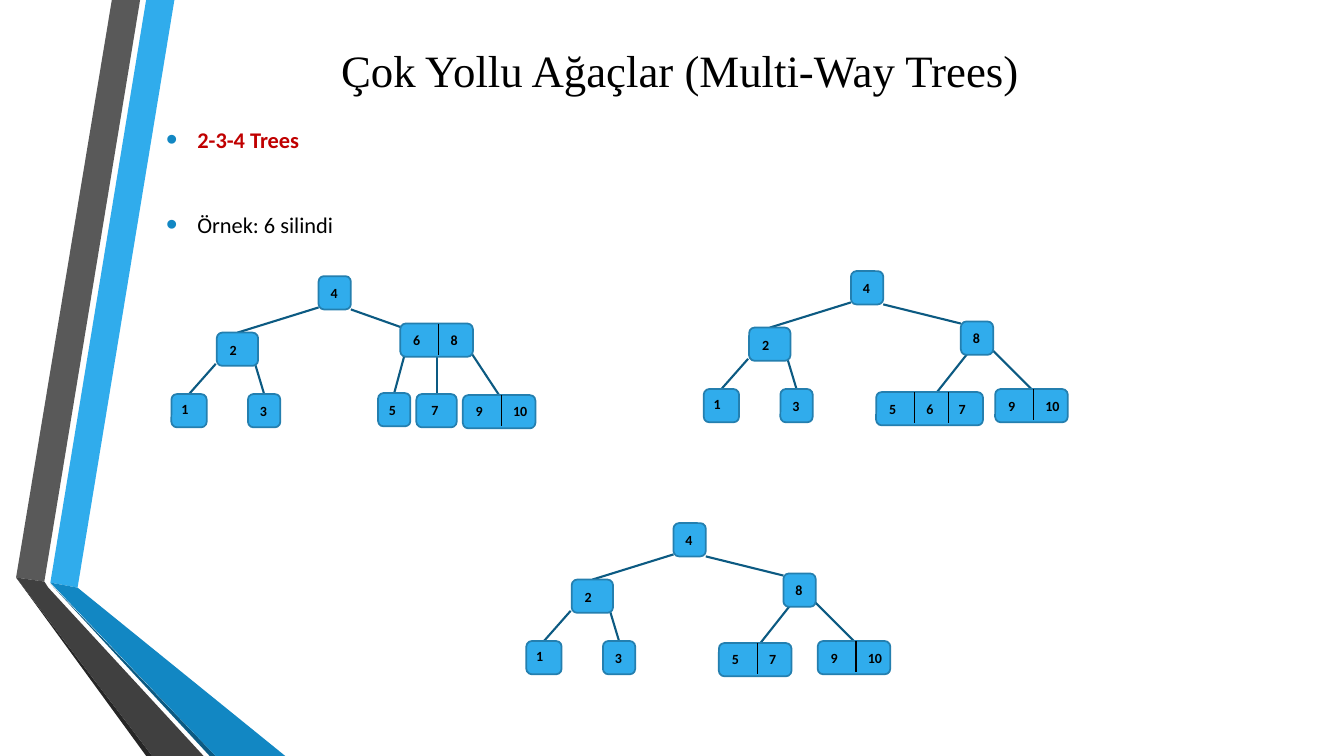
from dataclasses import dataclass
from lxml.etree import SubElement as Sub
from pptx import Presentation
from pptx.dml.color import RGBColor as Rgb
from pptx.enum.shapes import MSO_CONNECTOR as Link, MSO_SHAPE as Shape
from pptx.enum.text import MSO_ANCHOR as Anchor, MSO_AUTO_SIZE as Fit, PP_ALIGN as Align
from pptx.oxml.ns import qn
from pptx.util import Inches, Pt

UNIT = Inches(0.01)
COLS, ROWS = 1333, 750


@dataclass(frozen=True)
class Theme:
    sky: str = "30ACEC"
    blue: str = "1287C3"
    navy: str = "0C5A82"
    rim: str = "247FAF"
    gray: str = "595959"
    dark: str = "404040"
    coal: str = "262626"
    red: str = "C00000"
    ink: str = "000000"
    serif: str = "Times New Roman"
    sans: str = "Calibri"
    head: int = 32
    body: int = 16
    key: int = 10


@dataclass(frozen=True)
class Node:
    keys: str
    x: int
    y: int
    wide: int
    root: str = ""
    start: tuple = ()
    end: tuple = ()
    dx: int = 2
    dy: int = 3


LOOK = Theme()
TALL = 33
TEXTS = (0, 37, 69)
BARS = (38, 72)

LEFT = [
    Node("4", 146, 0, 32),
    Node("2", 45, 56, 41, "4", (146, 31), dx=3, dy=4),
    Node("1", 0, 117, 35, "2", (44, 87), dx=0, dy=1),
    Node("3", 76, 117, 32, "2", (80, 77)),
]
FULL = LEFT + [
    Node("6 8", 227, 47, 72, "4", (178, 33), (243, 56), dx=3),
    Node("5", 205, 116, 32, "6 8", (231, 79), dx=1),
    Node("7", 243, 117, 40, "6 8", dx=5, dy=2),
    Node("9 10", 289, 118, 72, "6 8", (298, 77), dx=3, dy=2),
]
SPLIT = LEFT + [
    Node("8", 255, 50, 32, "4", (178, 33), (255, 52)),
    Node("9 10", 289, 117, 72, "8", (287, 79), dx=3),
]
MERGED = SPLIT + [Node("5 6 7", 171, 120, 106, "8", (263, 80), (229, 123), dx=3)]
FINAL = SPLIT + [Node("5 7", 191, 119, 72, "8", (263, 80), (229, 123), dx=3, dy=2)]

RIBBONS = [
    ("sky", [(50, 578), (77, 583), (173, 0), (145, 0)]),
    ("gray", [(139, 0), (111, 0), (16, 573), (44, 577)]),
    ("coal", [(16, 573), (145, 750), (151, 750)]),
    ("navy", [(50, 579), (208, 750), (214, 750)]),
    ("blue", [(50, 578), (214, 750), (283, 750), (77, 583)]),
    ("dark", [(202, 750), (48, 583), (44, 577), (16, 573), (151, 750)]),
]


def cells(*sides):
    return [side * UNIT for side in sides]


def paint(shape, fill, line=None):
    shape.shadow.inherit = False
    shape.fill.solid()
    shape.fill.fore_color.rgb = Rgb.from_string(fill)
    if line:
        shape.line.color.rgb = Rgb.from_string(line)
        shape.line.width = Pt(1.25)
    else:
        shape.line.fill.background()


def write(para, text, face, size, tint, bold=False):
    run = para.add_run()
    run.text = text
    run.font.name = face
    run.font.size = Pt(size)
    run.font.bold = bold
    run.font.color.rgb = Rgb.from_string(tint)


def stroke(group, start, end, tint, width):
    line = group.shapes.add_connector(Link.STRAIGHT, *cells(*start, *end))
    line.line.color.rgb = Rgb.from_string(tint)
    line.line.width = Pt(width)
    Sub(line._element.spPr, qn("a:effectLst"))
    return line


def bullet(para):
    props = para._p.get_or_add_pPr()
    props.set("marL", str(31 * UNIT))
    props.set("indent", str(-31 * UNIT))
    tint = Sub(props, qn("a:buClr"))
    Sub(tint, qn("a:srgbClr"), val=LOOK.blue)
    Sub(props, qn("a:buSzPct"), val="145000")
    Sub(props, qn("a:buFont"), typeface="Arial")
    Sub(props, qn("a:buChar"), char="•")
    para.line_spacing = 1.5


def ribbons(slide, left, top):
    group = slide.shapes.add_group_shape()
    for tint, dots in RIBBONS:
        dots = [(left + x, top + y) for x, y in dots]
        form = group.shapes.build_freeform(*dots[0], scale=UNIT)
        form.add_line_segments(dots[1:], close=True)
        paint(form.convert_to_shape(), getattr(LOOK, tint))


def title(slide, box, text):
    shape = slide.shapes.title
    shape.left, shape.top, shape.width, shape.height = cells(*box)
    frame = shape.text_frame
    frame.auto_size = Fit.NONE
    frame.vertical_anchor = Anchor.MIDDLE
    para = frame.paragraphs[0]
    para.alignment = Align.CENTER
    write(para, text, LOOK.serif, LOOK.head, LOOK.ink)


def points(slide, box):
    frame = slide.shapes.add_textbox(*cells(*box)).text_frame
    frame.word_wrap = True
    first = frame.paragraphs[0]
    bullet(first)
    first.alignment = Align.JUSTIFY
    write(first, "2-3-4 Trees", LOOK.sans, LOOK.body, LOOK.red, True)
    second = frame.add_paragraph()
    bullet(second)
    second.space_before = Pt(32)
    write(second, "Örnek: 6 silindi", LOOK.sans, LOOK.body, LOOK.ink)


def draw(group, node, left, top):
    x, y = left + node.x, top + node.y
    block = group.shapes.add_shape(Shape.ROUNDED_RECTANGLE, *cells(x, y, node.wide, TALL))
    paint(block, LOOK.sky, LOOK.rim)
    keys = node.keys.split()
    for bar in BARS[:len(keys) - 1]:
        stroke(group, (x + bar, y), (x + bar, y + 31), LOOK.ink, 0.75)
    for key, step in zip(keys, TEXTS):
        spot = cells(x + node.dx + step, y + node.dy, 36, 27)
        frame = group.shapes.add_textbox(*spot).text_frame
        frame.word_wrap = True
        write(frame.paragraphs[0], key, LOOK.sans, LOOK.key, LOOK.ink, True)
    return block


def tree(slide, left, top, nodes):
    group = slide.shapes.add_group_shape()
    edges = []
    for node in nodes:
        if node.root:
            end = node.end or (node.x + node.wide // 2, node.y)
            start = node.start or (end[0], end[1] - 37)
            ends = [(left + x, top + y) for x, y in (start, end)]
            edges.append((stroke(group, *ends, LOOK.navy, 1.5), node))
    blocks = {node.keys: draw(group, node, left, top) for node in nodes}
    for edge, node in edges:
        if not node.start:
            edge.begin_connect(blocks[node.root], 2)
        if not node.end:
            edge.end_connect(blocks[node.keys], 0)


def main():
    deck = Presentation()
    deck.slide_width, deck.slide_height = cells(COLS, ROWS)
    slide = deck.slides.add_slide(deck.slide_layouts[5])
    ribbons(slide, 0, 0)
    title(slide, (155, 17, 1039, 104), "Çok Yollu Ağaçlar (Multi-Way Trees)")
    points(slide, (155, 107, 1039, 206))
    tree(slide, 170, 274, FULL)
    tree(slide, 698, 269, MERGED)
    tree(slide, 522, 519, FINAL)
    deck.save("out.pptx")


if __name__ == "__main__":
    main()
